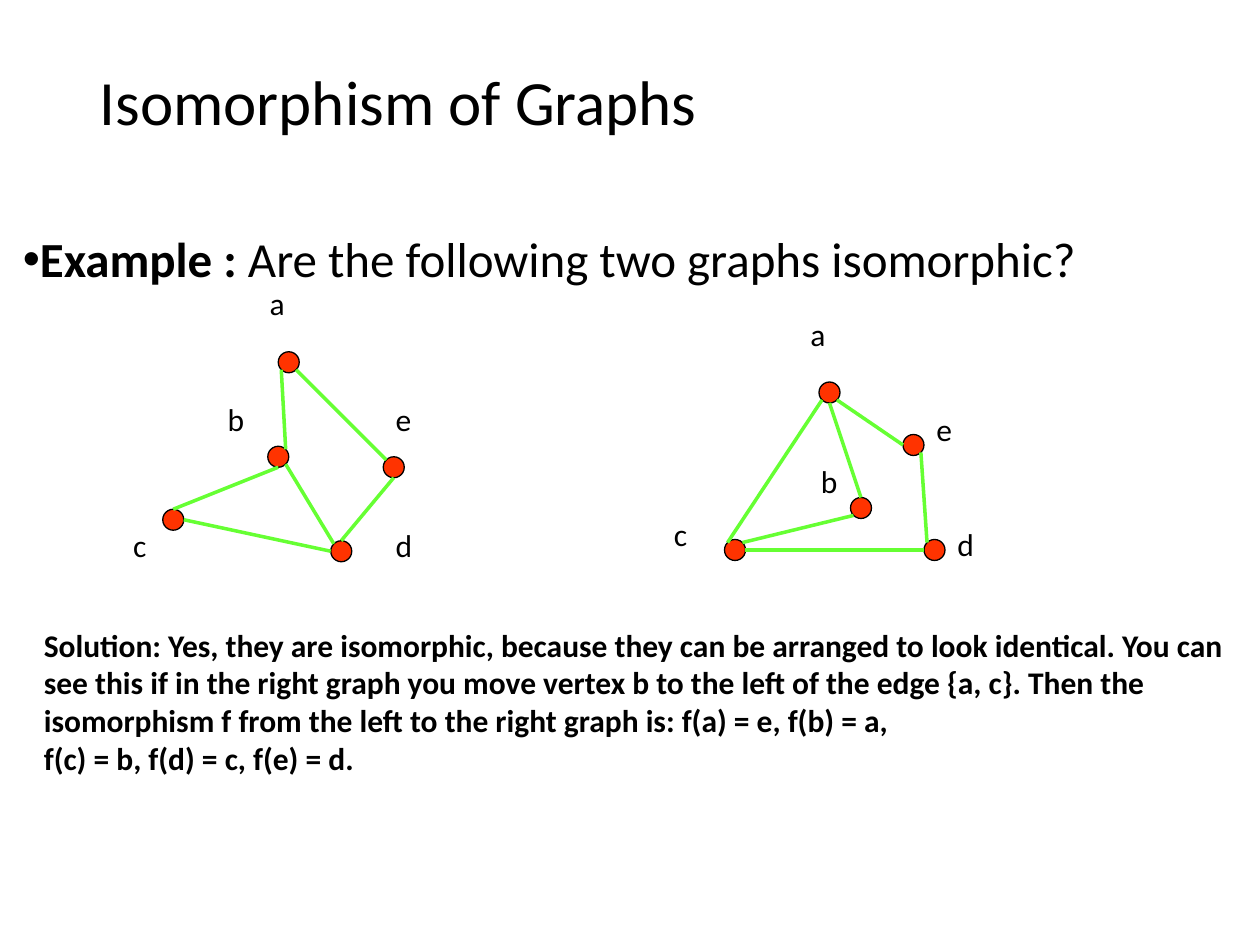
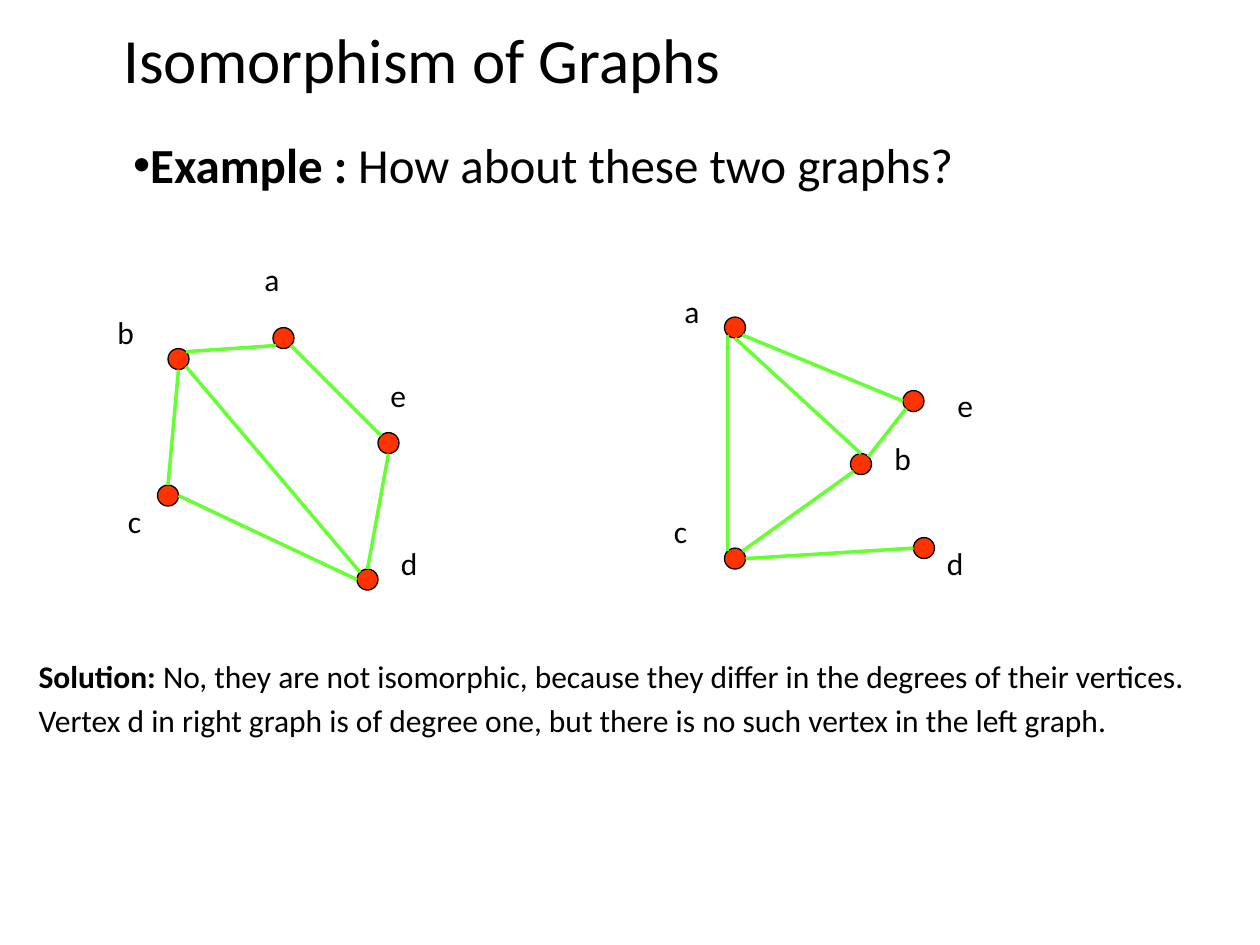
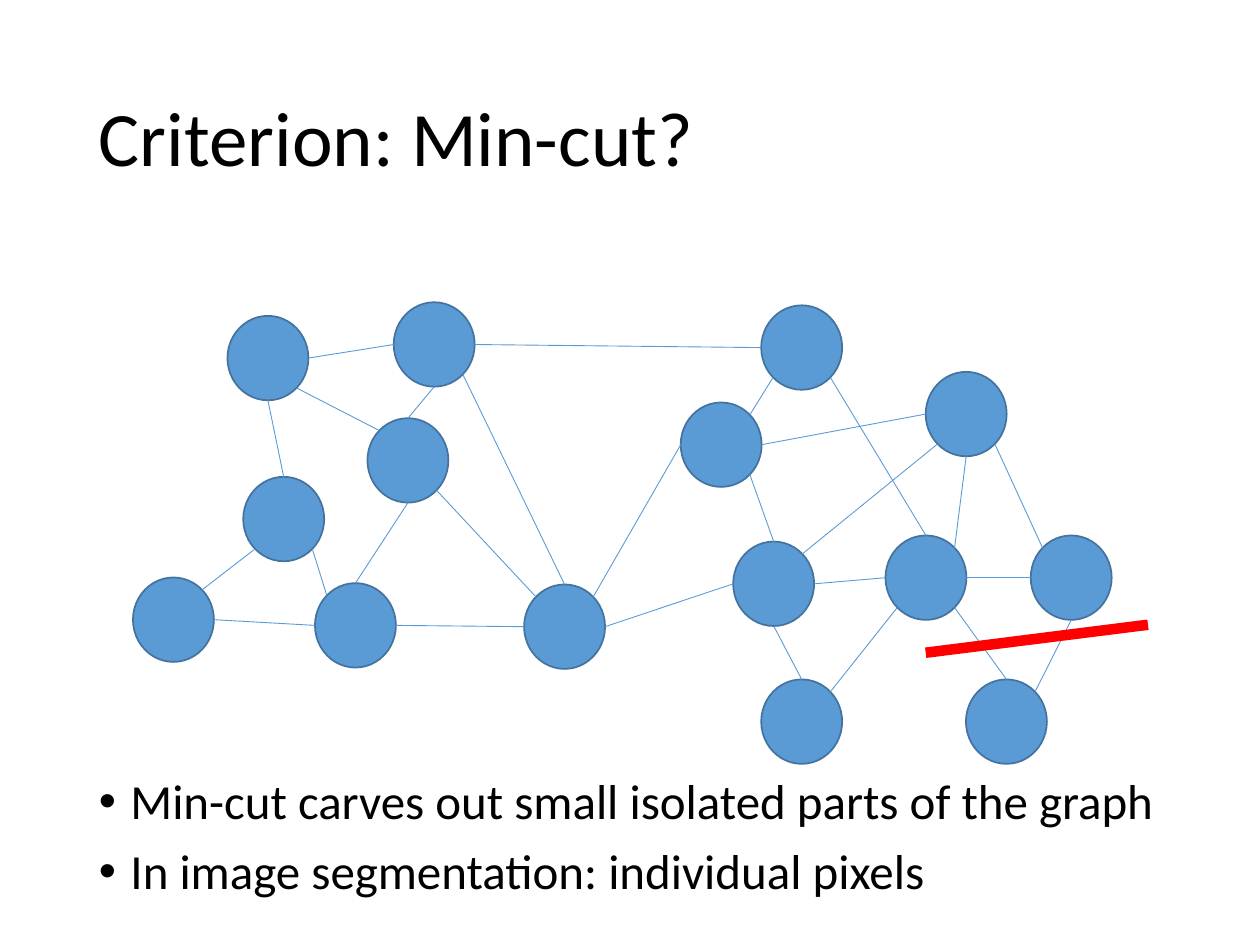
from dataclasses import dataclass
from enum import Enum
from typing import NamedTuple

from lxml.etree import SubElement
from pptx import Presentation
from pptx.dml.color import RGBColor
from pptx.enum.shapes import MSO_CONNECTOR, MSO_SHAPE
from pptx.enum.text import MSO_ANCHOR
from pptx.oxml.ns import qn
from pptx.shapes.autoshape import Shape
from pptx.shapes.shapetree import GroupShapes
from pptx.slide import Slide
from pptx.text.text import _Paragraph as Paragraph
from pptx.util import Pt

FONT = "Calibri"
COLORS = {
    "text": "000000",
    "vertex": "FF3300",
    "vertex_outline": "000000",
    "edge": "66FF33",
    "node": "5B9BD5",
    "node_outline": "43739E",
    "link": "5B9BD5",
    "cut": "FF0000",
}
LABEL_HEIGHT = 41
DIAGONAL = 0.146


class Site(Enum):
    TOP = (0.5, 0)
    BOTTOM = (0.5, 1)
    LEFT = (0, 0.5)
    RIGHT = (1, 0.5)
    TOP_LEFT = (DIAGONAL, DIAGONAL)
    TOP_RIGHT = (1 - DIAGONAL, DIAGONAL)
    BOTTOM_LEFT = (DIAGONAL, 1 - DIAGONAL)
    BOTTOM_RIGHT = (1 - DIAGONAL, 1 - DIAGONAL)


class Point(NamedTuple):
    x: float
    y: float


class Box(NamedTuple):
    left: float
    top: float
    width: float
    height: float


class Edge(NamedTuple):
    start: str
    start_site: Site
    end: str
    end_site: Site


class Label(NamedTuple):
    text: str
    left: float
    top: float
    width: float = 48


class Line(NamedTuple):
    bold: str = ""
    regular: str = ""


@dataclass(frozen=True)
class TextStyle:
    size: float
    line_spacing: float = 1.0
    space_between: float = 0
    bullet: bool = False
    indent: float = 0
    anchor: MSO_ANCHOR = MSO_ANCHOR.TOP


@dataclass(frozen=True)
class NodeStyle:
    shape: MSO_SHAPE
    width: float
    height: float
    fill: str
    outline: str
    outline_width: float
    edge: str
    edge_width: float


@dataclass(frozen=True)
class Graph:
    nodes: dict[str, Point]
    edges: list[Edge]
    labels: list[Label]


@dataclass(frozen=True)
class ExampleSlide:
    title_box: Box
    question_box: Box
    question: str
    graphs: list[Graph]
    solution_box: Box
    solution: list[Line]


TITLE = TextStyle(36, 0.9, anchor=MSO_ANCHOR.MIDDLE)
LARGE_TITLE = TextStyle(44, 0.9, anchor=MSO_ANCHOR.MIDDLE)
QUESTION = TextStyle(28, 0.9, bullet=True)
BULLETS = TextStyle(28, 0.9, space_between=10, bullet=True, indent=18)
SOLUTION = TextStyle(18, space_between=3.6)
LABEL = TextStyle(18)

VERTEX = NodeStyle(MSO_SHAPE.FLOWCHART_CONNECTOR, 12, 12,
                   "vertex", "vertex_outline", 0.75, "edge", 2)
CUT_NODE = NodeStyle(MSO_SHAPE.OVAL, 46.25, 48.25,
                     "node", "node_outline", 1, "link", 0.5)

LEFT_EDGES = [
    Edge("d", Site.TOP, "e", Site.BOTTOM),
    Edge("d", Site.LEFT, "c", Site.RIGHT),
    Edge("c", Site.TOP, "b", Site.BOTTOM),
    Edge("b", Site.TOP_RIGHT, "a", Site.BOTTOM_LEFT),
    Edge("a", Site.BOTTOM_RIGHT, "e", Site.TOP_LEFT),
    Edge("b", Site.BOTTOM_RIGHT, "d", Site.TOP_LEFT),
]
RIGHT_EDGES = [
    Edge("c", Site.RIGHT, "d", Site.LEFT),
    Edge("c", Site.TOP_RIGHT, "b", Site.BOTTOM_LEFT),
    Edge("b", Site.TOP, "a", Site.BOTTOM),
    Edge("a", Site.BOTTOM_RIGHT, "e", Site.LEFT),
    Edge("a", Site.BOTTOM_LEFT, "c", Site.TOP_LEFT),
]

EXAMPLES = [
    ExampleSlide(
        Box(50, 33, 678, 54),
        Box(6, 131, 714, 42),
        " Are the following two graphs isomorphic?",
        [
            Graph(
                {"d": Point(189, 309), "c": Point(93, 291), "b": Point(153, 255),
                 "e": Point(219, 261), "a": Point(159, 201)},
                LEFT_EDGES,
                [Label("d", 219, 297), Label("a", 147, 159), Label("b", 123, 225, 24),
                 Label("c", 69, 297, 30), Label("e", 219, 225)],
            ),
            Graph(
                {"c": Point(414, 308.3), "b": Point(486, 284.3), "a": Point(468, 218.3),
                 "d": Point(528, 308.3), "e": Point(516, 248.3)},
                RIGHT_EDGES + [Edge("e", Site.BOTTOM_RIGHT, "d", Site.TOP_LEFT)],
                [Label("d", 540, 296.5), Label("a", 456, 176.5), Label("b", 462, 260.5, 24),
                 Label("c", 378, 290.5, 30), Label("e", 528, 230.5)],
            ),
        ],
        Box(18, 354, 690, 144),
        [Line(bold="Solution: Yes, they are isomorphic, because they can be arranged to look "
                   "identical. You can see this if in the right graph you move vertex b to the "
                   "left of the edge {a, c}. Then the isomorphism f from the left to the right "
                   "graph is: f(a) = e, f(b) = a,\vf(c) = b, f(d) = c, f(e) = d.")],
    ),
    ExampleSlide(
        Box(63.5, 7, 678, 58.5),
        Box(69, 77, 696, 42),
        " How about these two graphs?",
        [
            Graph(
                {"d": Point(204, 325.2), "c": Point(90, 277.2), "b": Point(96, 199.2),
                 "e": Point(216, 247.2), "a": Point(156, 187.2)},
                LEFT_EDGES,
                [Label("d", 222, 307.3), Label("a", 144, 145.3), Label("b", 60, 175.3, 24),
                 Label("c", 66, 283.3, 30), Label("e", 216, 211.3)],
            ),
            Graph(
                {"c": Point(414, 313.2), "b": Point(486, 259.2), "a": Point(414, 181.2),
                 "d": Point(522, 307.2), "e": Point(516, 223.2)},
                RIGHT_EDGES + [Edge("e", Site.BOTTOM_LEFT, "b", Site.TOP_RIGHT)],
                [Label("d", 534, 307.3), Label("a", 384, 163.3), Label("b", 504, 247.3, 24),
                 Label("c", 378, 289.3, 30), Label("e", 540, 217.3)],
            ),
        ],
        Box(15, 372, 690, 144),
        [Line("Solution:", " No, they are not isomorphic, because they differ in the degrees "
                           "of their vertices."),
         Line(regular="Vertex d in right graph is of degree one, but there is no such vertex "
                      "in the left graph.")],
    ),
]

CUT_GRAPH = Graph(
    {"a": Point(130, 180.5), "b": Point(139, 272.5), "c": Point(76, 330),
     "d": Point(210, 239), "e": Point(435, 174.5), "f": Point(506, 306),
     "g": Point(529, 212.5), "h": Point(299.5, 334), "i": Point(389, 230),
     "j": Point(589, 306), "k": Point(419, 309.5), "l": Point(225, 172.75),
     "m": Point(180, 333.25), "n": Point(435, 388.25), "o": Point(552, 388.25)},
    [
        Edge("l", Site.RIGHT, "e", Site.LEFT),
        Edge("i", Site.TOP_RIGHT, "e", Site.BOTTOM_LEFT),
        Edge("i", Site.RIGHT, "g", Site.LEFT),
        Edge("f", Site.TOP, "e", Site.BOTTOM_RIGHT),
        Edge("f", Site.TOP_RIGHT, "g", Site.BOTTOM),
        Edge("j", Site.TOP_LEFT, "g", Site.BOTTOM_RIGHT),
        Edge("f", Site.LEFT, "k", Site.RIGHT),
        Edge("i", Site.BOTTOM_RIGHT, "k", Site.TOP),
        Edge("g", Site.BOTTOM_LEFT, "k", Site.TOP_RIGHT),
        Edge("n", Site.TOP, "k", Site.BOTTOM),
        Edge("n", Site.TOP_RIGHT, "f", Site.BOTTOM_LEFT),
        Edge("f", Site.BOTTOM_RIGHT, "o", Site.TOP),
        Edge("j", Site.BOTTOM, "o", Site.TOP_RIGHT),
        Edge("j", Site.LEFT, "f", Site.RIGHT),
        Edge("k", Site.LEFT, "h", Site.RIGHT),
        Edge("i", Site.LEFT, "h", Site.TOP_RIGHT),
        Edge("h", Site.TOP, "l", Site.BOTTOM_RIGHT),
        Edge("d", Site.TOP, "l", Site.BOTTOM),
        Edge("a", Site.RIGHT, "l", Site.LEFT),
        Edge("a", Site.BOTTOM_RIGHT, "d", Site.TOP_LEFT),
        Edge("a", Site.BOTTOM, "b", Site.TOP),
        Edge("d", Site.BOTTOM, "m", Site.TOP),
        Edge("b", Site.BOTTOM_RIGHT, "m", Site.TOP_LEFT),
        Edge("c", Site.RIGHT, "m", Site.LEFT),
        Edge("c", Site.TOP_RIGHT, "b", Site.BOTTOM_LEFT),
        Edge("h", Site.TOP_LEFT, "d", Site.BOTTOM_RIGHT),
        Edge("h", Site.LEFT, "m", Site.RIGHT),
    ],
    [],
)


def color(name: str) -> RGBColor:
    return RGBColor.from_string(COLORS[name])


def add_bullet(paragraph: Paragraph, indent: float) -> None:
    properties = paragraph._p.get_or_add_pPr()
    properties.set("marL", str(Pt(indent)))
    properties.set("indent", str(Pt(-indent)))
    SubElement(properties, qn("a:buFont"), typeface="Arial")
    SubElement(properties, qn("a:buChar"), char="•")


def add_text(shapes: GroupShapes, box: Box, lines: list[Line], style: TextStyle) -> Shape:
    shape = shapes.add_textbox(*map(Pt, box))
    frame = shape.text_frame
    frame.word_wrap = True
    frame.vertical_anchor = style.anchor
    for index, line in enumerate(lines):
        paragraph = frame.add_paragraph() if index else frame.paragraphs[0]
        paragraph.text = line.bold
        for run in paragraph.runs:
            run.font.bold = True
        if line.regular:
            paragraph.add_run().text = line.regular
        if style.bullet:
            add_bullet(paragraph, style.indent)
        paragraph.line_spacing = style.line_spacing
        if index:
            paragraph.space_before = Pt(style.space_between)
        paragraph.font.name = FONT
        paragraph.font.size = Pt(style.size)
        paragraph.font.color.rgb = color("text")
    return shape


def add_line(shapes: GroupShapes, start: Point, end: Point, name: str, width: float) -> None:
    connector = shapes.add_connector(MSO_CONNECTOR.STRAIGHT, *map(Pt, (*start, *end)))
    connector.line.color.rgb = color(name)
    connector.line.width = Pt(width)
    SubElement(connector.element.spPr, qn("a:effectLst"))


def add_node(shapes: GroupShapes, position: Point, style: NodeStyle) -> None:
    shape = shapes.add_shape(style.shape, *map(Pt, (*position, style.width, style.height)))
    shape.shadow.inherit = False
    shape.fill.solid()
    shape.fill.fore_color.rgb = color(style.fill)
    shape.line.color.rgb = color(style.outline)
    shape.line.width = Pt(style.outline_width)


def site_point(position: Point, site: Site, style: NodeStyle) -> Point:
    across, down = site.value
    return Point(position.x + across * style.width, position.y + down * style.height)


def add_graph(shapes: GroupShapes, graph: Graph, style: NodeStyle) -> None:
    for position in graph.nodes.values():
        add_node(shapes, position, style)
    for label in graph.labels:
        box = Box(label.left, label.top, label.width, LABEL_HEIGHT)
        add_text(shapes, box, [Line(regular=label.text)], LABEL)
    for edge in graph.edges:
        start = site_point(graph.nodes[edge.start], edge.start_site, style)
        end = site_point(graph.nodes[edge.end], edge.end_site, style)
        add_line(shapes, start, end, style.edge, style.edge_width)


def draw_example(slide: Slide, example: ExampleSlide) -> None:
    shapes = slide.shapes
    add_text(shapes, example.title_box, [Line(regular="Isomorphism of Graphs")], TITLE)
    add_text(shapes, example.question_box, [Line("Example :", example.question)], QUESTION)
    for graph in example.graphs:
        add_graph(shapes.add_group_shape().shapes, graph, VERTEX)
    add_text(shapes, example.solution_box, example.solution, SOLUTION)


def draw_min_cut(slide: Slide) -> None:
    shapes = slide.shapes
    add_text(shapes, Box(49.5, 29, 621, 104), [Line(regular="Criterion: Min-cut?")], LARGE_TITLE)
    add_text(shapes, Box(49.5, 440.5, 621, 92), [
        Line(regular="Min-cut carves out small isolated parts of the graph"),
        Line(regular="In image segmentation: individual pixels"),
    ], BULLETS)
    add_graph(shapes, CUT_GRAPH, CUT_NODE)
    add_line(shapes, Point(656, 357), Point(529, 373), "cut", 6)


def main() -> None:
    presentation = Presentation()
    presentation.slide_width = Pt(720)
    presentation.slide_height = Pt(540)
    blank = presentation.slide_layouts[6]
    for example in EXAMPLES:
        draw_example(presentation.slides.add_slide(blank), example)
    draw_min_cut(presentation.slides.add_slide(blank))
    presentation.save("out.pptx")


if __name__ == "__main__":
    main()
